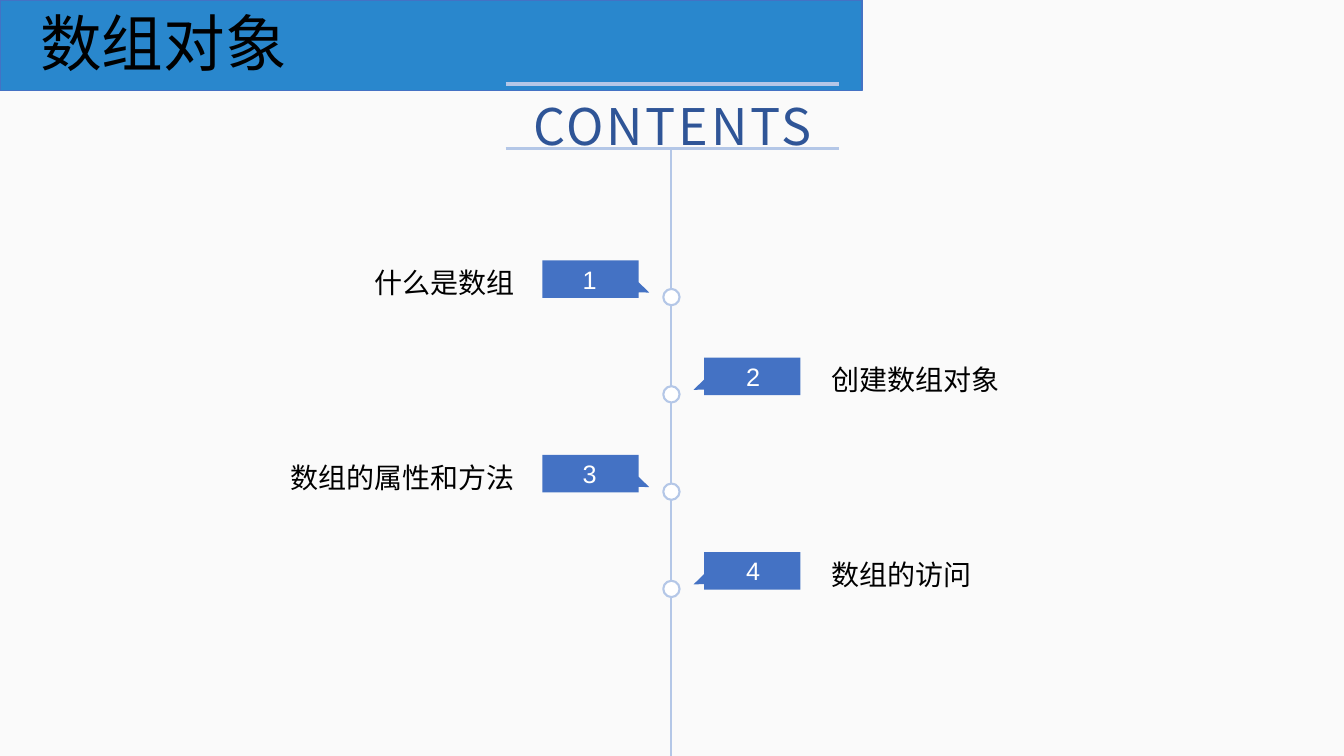
import pptx
import pptx.util
import pptx.dml.color
import pptx.enum.shapes
import pptx.enum.text
import pptx.oxml.ns
import lxml.etree

ALIGN = pptx.enum.text.PP_ALIGN
SHAPE = pptx.enum.shapes.MSO_SHAPE
CJK = "Noto Sans CJK SC"


def color(code):
    return pptx.dml.color.RGBColor.from_string(code)


def child(node, tag):
    return lxml.etree.SubElement(node, pptx.oxml.ns.qn(tag))


class Deck:
    """Draws on one slide, measured on a grid of 160 columns by 90 rows."""

    pale, blue, navy = "B4C7E7", "4472C4", "2F5597"

    def __init__(self):
        self.prs = pptx.Presentation()
        self.prs.slide_width = pptx.util.Inches(13.33)
        self.prs.slide_height = pptx.util.Inches(7.5)
        self.slide = self.prs.slides.add_slide(self.prs.slide_layouts[5])
        fill = self.slide.background.fill
        fill.solid()
        fill.fore_color.rgb = color("FAFAFA")

    def col(self, n):
        return round(self.prs.slide_width * n / 160)

    def row(self, n):
        return round(self.prs.slide_height * n / 90)

    def area(self, x, y, w, h):
        return self.col(x), self.row(y), self.col(w), self.row(h)

    def paint(self, item, fill, line=None, width=1):
        item.shadow.inherit = False
        item.fill.solid()
        item.fill.fore_color.rgb = color(fill)
        if line:
            item.line.color.rgb = color(line)
            item.line.width = pptx.util.Pt(width)
        else:
            item.line.fill.background()

    def shape(self, kind, x, y, w, h, fill, line, width):
        item = self.slide.shapes.add_shape(kind, *self.area(x, y, w, h))
        self.paint(item, fill, line, width)

    def line(self, x1, y1, x2, y2, width):
        item = self.slide.shapes.add_connector(
            pptx.enum.shapes.MSO_CONNECTOR.STRAIGHT,
            self.col(x1), self.row(y1), self.col(x2), self.row(y2))
        item.line.color.rgb = color(self.pale)
        item.line.width = pptx.util.Pt(width)
        child(item._element.spPr, "a:effectLst")

    def letter(self, item, text, size, tint, align, font="Arial",
               space=1.0, pad=(0, 0, 0, 0), track=0):
        frame = item.text_frame
        frame.text = text
        frame.word_wrap = True
        frame.auto_size = pptx.enum.text.MSO_AUTO_SIZE.NONE
        frame.vertical_anchor = pptx.enum.text.MSO_ANCHOR.MIDDLE
        frame.margin_left, frame.margin_top = self.col(pad[0]), self.row(pad[1])
        frame.margin_right, frame.margin_bottom = self.col(pad[2]), self.row(pad[3])
        para = frame.paragraphs[0]
        para.alignment, para.line_spacing = align, space
        run = para.runs[0]
        run.font.name, run.font.size = font, pptx.util.Pt(size)
        run.font.color.rgb = color(tint)
        props = run.font._element
        child(props, "a:ea").set("typeface", CJK)
        if track:
            props.set("spc", str(track * 100))

    def label(self, x, y, w, h, text, size, tint, align, **style):
        item = self.slide.shapes.add_textbox(*self.area(x, y, w, h))
        self.letter(item, text, size, tint, align, **style)

    def title(self, x, y, w, h, text):
        item = self.slide.shapes.title
        item.left, item.top, item.width, item.height = self.area(x, y, w, h)
        self.letter(item, text, 44, "000000", ALIGN.LEFT, font=CJK,
                    space=0.9, pad=(1.2, 0.6, 1.2, 0.6))
        self.slide.shapes._spTree.append(item._element)

    def badge(self, axis, y, side, text):
        near, far, tip = 3.9, 15.36, 2.64
        edge = [(near, 0), (far, 0), (far, 4.46), (near, 4.46),
                (near, 3.8), (tip, 3.84), (near, 2.6)]
        dots = [(self.col(axis + side * dx), self.row(y + dy)) for dx, dy in edge]
        pen = self.slide.shapes.build_freeform(*dots[0], scale=1.0)
        pen.add_line_segments(dots[1:], close=True)
        item = pen.convert_to_shape()
        self.paint(item, self.blue)
        pad = (1.44, 0, 0, 0) if side > 0 else (0, 0, 1.44, 0)
        self.letter(item, text, 18, "FFFFFF", ALIGN.CENTER, pad=pad)

    def topic(self, axis, y, side, number, text):
        self.shape(SHAPE.OVAL, axis - 0.97, y + 3.4, 1.94, 1.94,
                   "FFFFFF", self.pale, 1.5)
        self.badge(axis, y, side, str(number))
        left = axis + 19.07 if side > 0 else axis - 56.53
        align = ALIGN.LEFT if side > 0 else ALIGN.RIGHT
        self.label(left, y - 1.97, 37.9, 8.4, text, 20, "000000", align, space=1.2)


def main():
    deck = Deck()
    axis, top, step = 79.93, 31, 11.58
    deck.shape(SHAPE.RECTANGLE, 0, 0, 102.65, 10.8, "2987CD", deck.blue, 1)
    deck.line(axis, 17.76, axis, 90, 1.5)
    topics = ["什么是数组", "创建数组对象", "数组的属性和方法", "数组的访问"]
    for i, text in enumerate(topics):
        deck.topic(axis, top + i * step, 1 if i % 2 else -1, i + 1, text)
    for y in (10, 17.7):
        deck.line(60.2, y, 99.9, y, 2.25)
    deck.label(60.2, 10, 39.7, 7.7, "CONTENTS", 36, deck.navy, ALIGN.CENTER,
               font=CJK, space=1.3, track=2)
    deck.title(3.6, 1.2, 138, 8.64, "数组对象")
    deck.prs.save("out.pptx")


if __name__ == "__main__":
    main()
